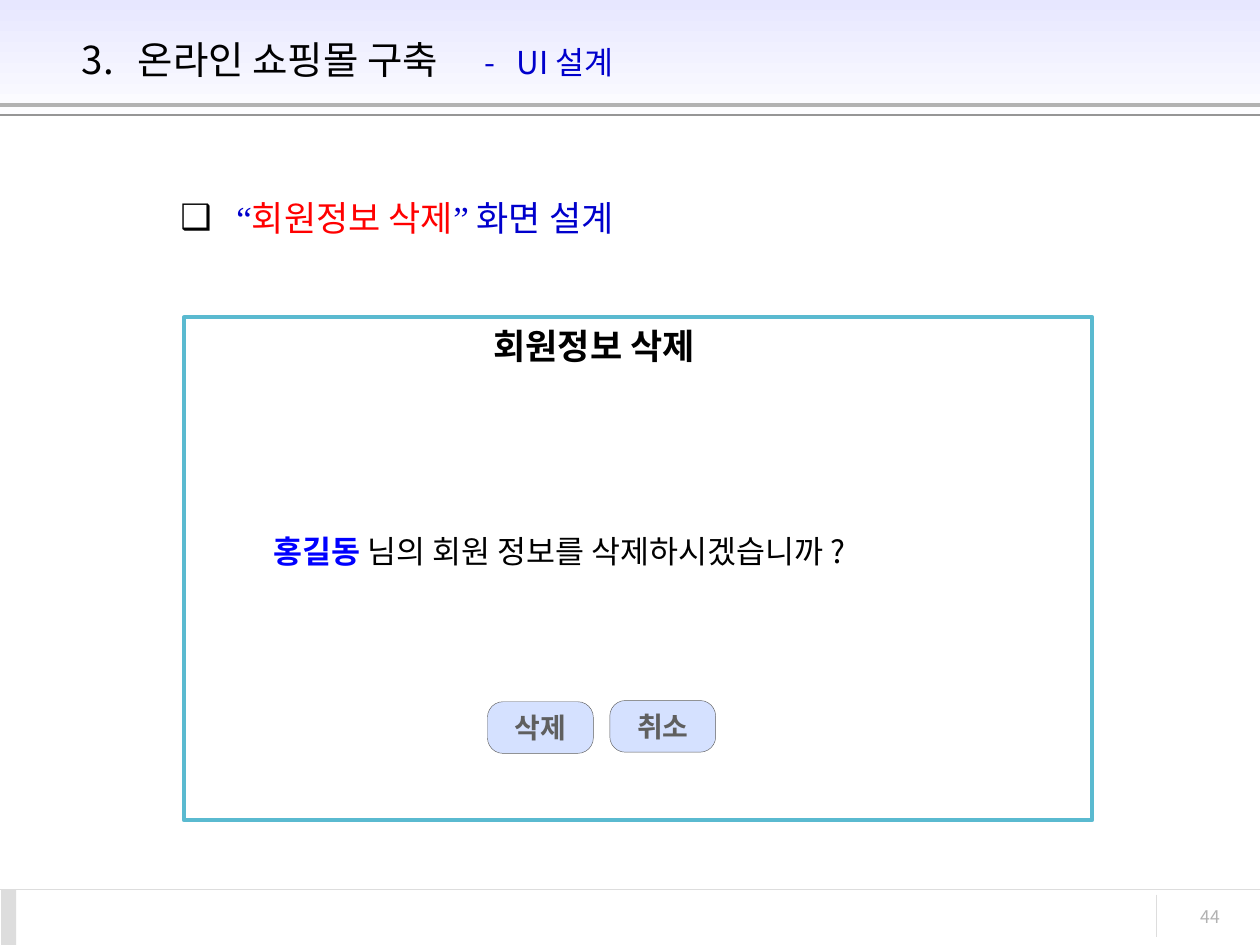
from lxml import etree
from pptx import Presentation
from pptx.dml.color import RGBColor
from pptx.enum.shapes import MSO_CONNECTOR, MSO_SHAPE
from pptx.enum.text import MSO_ANCHOR, PP_ALIGN
from pptx.oxml.ns import qn
from pptx.util import Pt

RECTANGLE, ROUNDED = MSO_SHAPE.RECTANGLE, MSO_SHAPE.ROUNDED_RECTANGLE
STRAIGHT = MSO_CONNECTOR.STRAIGHT
TOP, MIDDLE = MSO_ANCHOR.TOP, MSO_ANCHOR.MIDDLE
LEFT, CENTER, RIGHT = PP_ALIGN.LEFT, PP_ALIGN.CENTER, PP_ALIGN.RIGHT

BLACK = RGBColor(0x00, 0x00, 0x00)
WHITE = RGBColor(0xFF, 0xFF, 0xFF)
LAVENDER = RGBColor(0xE7, 0xE7, 0xFF)
SILVER = RGBColor(0xB2, 0xB2, 0xB2)
GRAY = RGBColor(0x96, 0x96, 0x96)
PALE_GRAY = RGBColor(0xDD, 0xDD, 0xDD)
DARK_GRAY = RGBColor(0x5F, 0x5F, 0x5F)
NAVY = RGBColor(0x00, 0x00, 0xCC)
BLUE = RGBColor(0x00, 0x00, 0xFF)
RED = RGBColor(0xFF, 0x00, 0x00)
TEAL = RGBColor(0x5A, 0xBA, 0xD0)
BUTTON_BLUE = RGBColor(0xD5, 0xE1, 0xFF)

SANS, SERIF = "Noto Sans CJK KR", "Times New Roman"
SLIDE_WIDTH, SLIDE_HEIGHT = 720, 540


def set_format(target, values):
    for name, value in values.items():
        setattr(target, name, value)


def place(shape, left, top, width, height):
    set_format(shape, {"left": Pt(left), "top": Pt(top),
                       "width": Pt(width), "height": Pt(height)})


def set_frame(shape, anchor=TOP, wrap=True, bottom=3.6):
    set_format(shape.text_frame, {
        "margin_left": Pt(7.2), "margin_right": Pt(7.2), "margin_top": Pt(3.6),
        "margin_bottom": Pt(bottom), "vertical_anchor": anchor, "word_wrap": wrap})


def write(paragraph, text, size, color, bold=False, name=SANS):
    """Add a run whose Latin and East Asian fonts are the same."""
    run = paragraph.add_run()
    run.text = text
    set_format(run.font, {"name": name, "size": Pt(size), "bold": bold})
    run.font.color.rgb = color
    east_asian = etree.Element(qn("a:ea"), typeface=name)
    run.font._element.find(qn("a:latin")).addnext(east_asian)


def add_box(slide, kind, box, fill, line=None, line_width=0):
    shape = slide.shapes.add_shape(kind, *map(Pt, box))
    shape.shadow.inherit = False
    shape.fill.solid()
    shape.fill.fore_color.rgb = fill
    if line is None:
        shape.line.fill.background()
    else:
        shape.line.color.rgb = line
        shape.line.width = Pt(line_width)
    return shape


def add_line(slide, start, end, color, width):
    line = slide.shapes.add_connector(STRAIGHT, *map(Pt, start + end))
    line.line.color.rgb = color
    line.line.width = Pt(width)
    etree.SubElement(line.element.spPr, qn("a:effectLst"))


def add_label(slide, box, text, size, color, align, bold=False, wrap=True):
    label = slide.shapes.add_textbox(*map(Pt, box))
    set_frame(label, wrap=wrap)
    paragraph = label.text_frame.paragraphs[0]
    paragraph.alignment = align
    write(paragraph, text, size, color, bold)


def add_header(slide, left, top, width, height):
    band = add_box(slide, RECTANGLE, (left, top, width, height), LAVENDER)
    band.fill.gradient()
    band.fill.gradient_angle = 270
    for stop, color in zip(band.fill.gradient_stops, (LAVENDER, WHITE)):
        stop.color.rgb = color
    for offset, color, weight in ((60.2, SILVER, 2.25), (65.8, GRAY, 0.75)):
        y = top + offset
        add_line(slide, (left, y), (left + width, y), color, weight)

    title = slide.shapes.title
    title.element.getparent().append(title.element)
    place(title, left + 39.6, top + 9.4, 621.4, 49)
    set_frame(title, MIDDLE)
    paragraph = title.text_frame.paragraphs[0]
    paragraph.alignment = LEFT
    tabs = etree.SubElement(paragraph._p.get_or_add_pPr(), qn("a:tabLst"))
    for position in (32, 230, 248.5):
        etree.SubElement(tabs, qn("a:tab"), pos=str(Pt(position)), algn="l")
    write(paragraph, "3.\t온라인 쇼핑몰 구축\t", 22, BLACK)
    write(paragraph, "-\tUI 설계", 18, NAVY)


def add_heading(slide, left, top, width, height):
    body = slide.placeholders[1]
    place(body, left, top, width, height)
    set_frame(body)
    paragraph = body.text_frame.paragraphs[0]
    set_format(paragraph, {"space_before": Pt(0), "space_after": Pt(15)})
    properties = paragraph._p.get_or_add_pPr()
    properties.set("marL", str(Pt(32)))
    properties.set("indent", str(-Pt(32)))
    bullet_color = etree.SubElement(properties, qn("a:buClr"))
    etree.SubElement(bullet_color, qn("a:srgbClr"), val=str(BLACK))
    etree.SubElement(properties, qn("a:buChar"), char="❑")
    for text, color, name in (("“", NAVY, SERIF), ("회원정보 삭제", RED, SANS),
                              ("”", NAVY, SERIF), (" 화면 설계", NAVY, SANS)):
        write(paragraph, text, 20, color, name=name)


def add_button(slide, left, top, text):
    button = add_box(slide, ROUNDED, (left, top, 60.5, 29.5),
                     BUTTON_BLUE, DARK_GRAY, 0.25)
    button.adjustments[0] = 0.3
    set_frame(button, MIDDLE, wrap=False)
    paragraph = button.text_frame.paragraphs[0]
    paragraph.alignment = CENTER
    write(paragraph, text, 16, DARK_GRAY, bold=True)


def add_dialog(slide, left, top, width, height):
    window = add_box(slide, RECTANGLE, (left, top, width, height), WHITE, TEAL, 2.25)
    set_frame(window, MIDDLE, bottom=28)
    paragraph = window.text_frame.paragraphs[0]
    set_format(paragraph, {"alignment": LEFT, "line_spacing": 1.2})
    paragraph._p.get_or_add_pPr().set("marL", str(Pt(44)))
    write(paragraph, "홍길동", 18, BLUE, bold=True)
    write(paragraph, " 님의 회원 정보를 삭제하시겠습니까 ?", 18, BLACK)
    add_label(slide, (left + 169.2, top + 0.7, 130.3, 31.7),
              "회원정보 삭제", 20, BLACK, CENTER, bold=True, wrap=False)
    add_button(slide, left + 173.5, top + 219.6, "삭제")
    add_button(slide, left + 243.4, top + 218.9, "취소")


def add_footer(slide, left, top, width, height):
    add_line(slide, (left, top), (left + width, top), PALE_GRAY, 0.75)
    add_box(slide, RECTANGLE, (left + 0.7, top, 8.6, height), PALE_GRAY)
    divider = left + 661
    add_line(slide, (divider, top + 3), (divider, top + height - 4.3), PALE_GRAY, 0.75)
    add_label(slide, (left + 638, top + 5.8, 66.2, 23.8), "44", 10, SILVER, RIGHT)


def main():
    presentation = Presentation()
    presentation.slide_width = Pt(SLIDE_WIDTH)
    presentation.slide_height = Pt(SLIDE_HEIGHT)
    slide = presentation.slides.add_slide(presentation.slide_layouts[1])
    add_header(slide, 0, 0, SLIDE_WIDTH, 72)
    add_heading(slide, 95.8, 108.7, 463, 59)
    add_dialog(slide, 105.1, 181.4, 519.1, 287.3)
    add_footer(slide, 0, 508.3, SLIDE_WIDTH, SLIDE_HEIGHT - 508.3)
    presentation.save("out.pptx")


if __name__ == "__main__":
    main()
